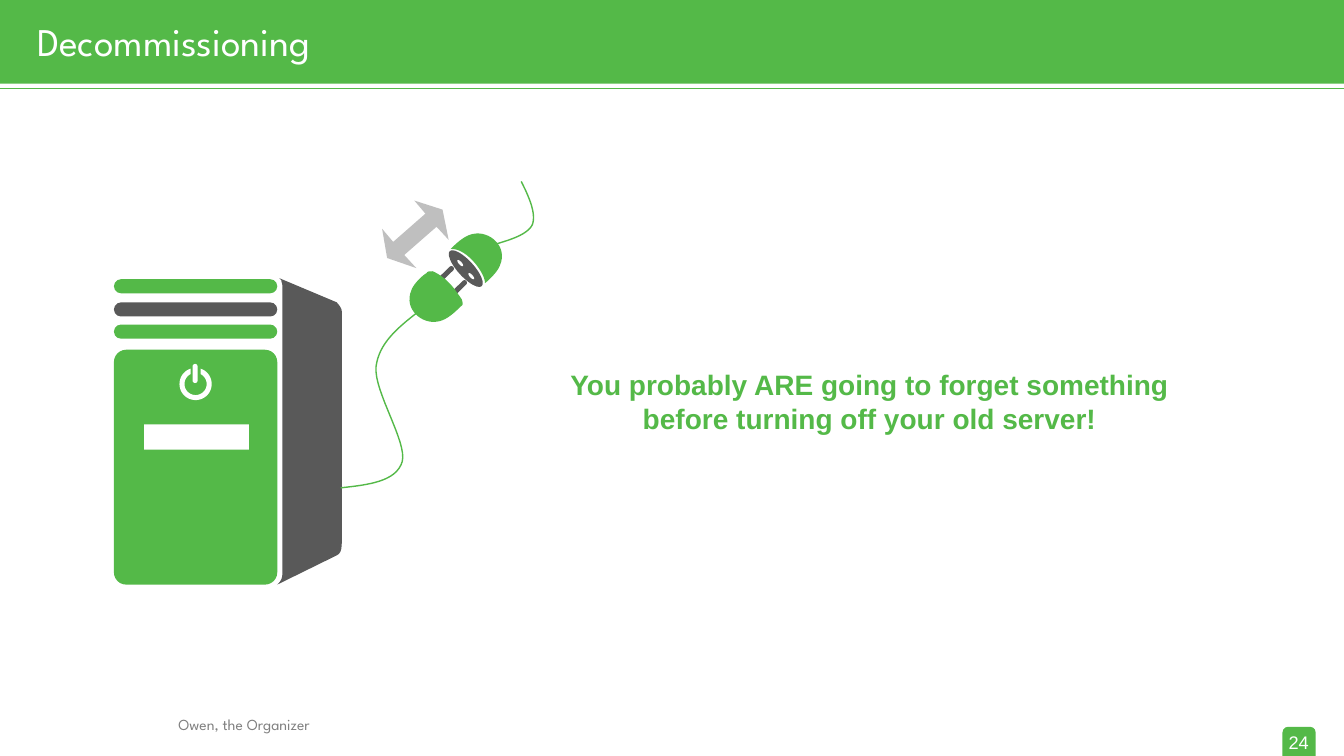
from dataclasses import dataclass, field
from math import asin, cos, pi, sin
from typing import Any, Optional

from lxml import etree
from pptx import Presentation
from pptx import util as u
from pptx.dml import color
from pptx.enum import shapes, text
from pptx.oxml import ns

GREEN, DARK, SILVER, GREY, WHITE = "54B948", "595959", "BFBFBF", "808080", "FFFFFF"
Kind = shapes.MSO_SHAPE
Point = tuple[float, float]


@dataclass
class Block:
    kind: Any
    left: float
    top: float
    width: float
    height: float
    fill: str
    adjustment: Optional[float] = None
    rotation: float = 0


@dataclass
class Outline:
    start: Point
    steps: list[tuple[float, ...]]
    fill: Optional[str] = None


@dataclass
class Label:
    wording: str
    left: float
    top: float
    width: float
    height: float
    font: dict[str, Any]
    hue: str
    frame: dict[str, Any] = field(default_factory=dict)
    paragraph: dict[str, Any] = field(default_factory=dict)


def rgb(value: str) -> color.RGBColor:
    return color.RGBColor.from_string(value)


def apply(target: Any, values: dict[str, Any]) -> None:
    for name, value in values.items():
        setattr(target, name, value)


def paint(shape: Any, fill: Optional[str]) -> None:
    shape.shadow.inherit = False
    if fill:
        shape.fill.solid()
        shape.fill.fore_color.rgb = rgb(fill)
        shape.line.fill.background()
    else:
        shape.fill.background()
        shape.line.color.rgb = rgb(GREEN)
        shape.line.width = u.Pt(1)


def draw_block(canvas: Any, block: Block) -> None:
    sizes = (block.left, block.top, block.width, block.height)
    shape = canvas.add_shape(block.kind, *map(u.Inches, sizes))
    if block.adjustment is not None:
        shape.adjustments[0] = block.adjustment
    shape.rotation = block.rotation
    paint(shape, block.fill)


def curve(controls: list[Point], count: int = 16) -> list[Point]:
    points = []
    for index in range(1, count + 1):
        t = index / count
        weights = ((1 - t) ** 3, 3 * t * (1 - t) ** 2, 3 * t * t * (1 - t), t ** 3)
        x, y = (sum(w * p[axis] for w, p in zip(weights, controls)) for axis in (0, 1))
        points.append((x, y))
    return points


def draw_outline(canvas: Any, outline: Outline) -> None:
    points = [outline.start]
    for step in outline.steps:
        pairs = list(zip(step[::2], step[1::2]))
        points += curve([points[-1], *pairs]) if len(pairs) == 3 else pairs
    emu = [(u.Inches(x), u.Inches(y)) for x, y in points]
    builder = canvas.build_freeform(*emu[0], scale=1.0)
    builder.add_line_segments(emu[1:], close=outline.fill is not None)
    paint(builder.convert_to_shape(), outline.fill)


def draw_label(canvas: Any, label: Label) -> None:
    sizes = (label.left, label.top, label.width, label.height)
    frame = canvas.add_textbox(*map(u.Inches, sizes)).text_frame
    apply(frame, {"word_wrap": True, **label.frame})
    paragraph = frame.paragraphs[0]
    apply(paragraph, label.paragraph)
    run = paragraph.add_run()
    run.text = label.wording
    apply(run.font, label.font)
    run.font.color.rgb = rgb(label.hue)


def draw_rule(canvas: Any, y: float) -> None:
    ends = map(u.Inches, (0, y, 13.33, y))
    rule = canvas.add_connector(shapes.MSO_CONNECTOR.STRAIGHT, *ends)
    rule.line.color.rgb = rgb(GREEN)
    rule.line.width = u.Pt(0.5)
    etree.SubElement(rule._element.spPr, ns.qn("a:effectLst"))


def power_ring(x: float, y: float, outer: float, inner: float, gap: float) -> Outline:
    points = []
    for radius, direction in ((outer, 1), (inner, -1)):
        opening = asin(gap / radius)
        for index in range(41):
            angle = direction * (opening - pi + (2 * pi - 2 * opening) * index / 40 + pi)
            points.append((x + radius * sin(angle), y - radius * cos(angle)))
    return Outline(points[0], points[1:], WHITE)


PLUG = [
    *(Block(Kind.ROUNDED_RECTANGLE, x, y, 0.05, 0.25, DARK, 0.46, 45.7)
      for x, y in ((4.38, 2.61), (4.51, 2.75))),
    Outline((4.29, 2.69), [
        (4.45, 2.76, 4.53, 2.9, 4.58, 2.97), (4.6, 3.03, 4.58, 3.03, 4.57, 3.04),
        (4.48, 3.13, 4.41, 3.18, 4.34, 3.19), (4.19, 3.22, 4, 3.07, 4.08, 2.88),
        (4.1, 2.82, 4.18, 2.74, 4.23, 2.71), (4.25, 2.68, 4.27, 2.7, 4.29, 2.69)], GREEN),
    Block(Kind.OVAL, 4.54, 2.43, 0.16, 0.47, DARK, rotation=317.7),
    *(Block(Kind.OVAL, x, y, 0.03, 0.08, WHITE, rotation=317.7)
      for x, y in ((4.55, 2.57), (4.66, 2.7))),
    Outline((4.81, 2.81), [
        (4.82, 2.73, 4.64, 2.46, 4.47, 2.47), (4.56, 2.38, 4.63, 2.33, 4.7, 2.32),
        (4.85, 2.29, 5.04, 2.44, 4.96, 2.63), (4.94, 2.69, 4.86, 2.77, 4.81, 2.81)], GREEN),
]
SERVER = [
    *(Block(Kind.ROUNDED_RECTANGLE, 1.13, y, 1.62, 0.14, fill, 0.5)
      for y, fill in ((2.77, GREEN), (3, DARK), (3.22, GREEN))),
    Block(Kind.ROUNDED_RECTANGLE, 1.13, 3.47, 1.62, 2.33, GREEN, 0.075),
    Outline((2.77, 2.76), [
        (3.34, 3), (3.4, 3.07, 3.39, 3.08, 3.39, 3.14), (3.39, 5.37),
        (3.39, 5.45, 3.38, 5.49, 3.34, 5.51), (2.75, 5.8), (2.76, 5.79),
        (2.78, 5.77, 2.8, 5.74, 2.8, 5.7), (2.8, 2.83),
        (2.8, 2.81, 2.79, 2.8, 2.79, 2.78)], DARK),
    Block(Kind.ROUNDED_RECTANGLE, 1.91, 3.61, 0.05, 0.19, WHITE, 0.5),
    power_ring(1.94, 3.81, 0.16, 0.11, 0.05),
    Block(Kind.RECTANGLE, 1.43, 4.21, 1.04, 0.25, WHITE),
]
CORDS = [
    Outline((3.38, 4.84), [
        (3.65, 4.81, 3.93, 4.78, 3.99, 4.58), (4.04, 4.38, 3.71, 3.89, 3.73, 3.64),
        (3.76, 3.4, 3.95, 3.25, 4.14, 3.1)]),
    Outline((4.89, 2.43), [
        (5.06, 2.38, 5.23, 2.33, 5.28, 2.23), (5.32, 2.12, 5.25, 1.96, 5.17, 1.8)]),
]
DOUBLE_ARROW = Outline((4.39, 2.08), [
    (4.11, 1.99), (4.22, 2.12), (3.9, 2.4), (3.79, 2.27), (3.84, 2.56),
    (4.13, 2.66), (4.01, 2.53), (4.33, 2.25), (4.45, 2.38)], SILVER)
BANNER = Block(Kind.RECTANGLE, 0, 0, 13.33, 0.83, GREEN)
PAGE_TAB = Block(Kind.ROUND_2_SAME_RECTANGLE, 12.72, 7.21, 0.33, 0.29, GREEN, 0.2)
MIDDLE = {"vertical_anchor": text.MSO_ANCHOR.MIDDLE}
CENTER = {"alignment": text.PP_ALIGN.CENTER}
LABELS = [
    Label("Owen, the Organizer", 1.67, 7.04, 1.86, 0.29,
          {"name": "League Spartan", "size": u.Pt(11)}, GREY, {"word_wrap": False}),
    Label("Decommissioning", 0.27, 0.16, 11.5, 0.54,
          {"name": "League Spartan", "size": u.Pt(28)}, WHITE, MIDDLE, {"line_spacing": 0.9}),
    Label("24", 12.64, 7.16, 0.48, 0.4,
          {"name": "Arial", "size": u.Pt(13)}, WHITE, MIDDLE, CENTER),
    Label("You probably ARE going to forget something before turning off your old server!",
          5.29, 3.6, 6.67, 0.77,
          {"name": "Arial", "size": u.Pt(20), "bold": True}, GREEN, paragraph=CENTER),
]


def main() -> None:
    presentation = Presentation()
    apply(presentation, {"slide_width": u.Inches(13.33), "slide_height": u.Inches(7.5)})
    slide = presentation.slides.add_slide(presentation.slide_layouts[6])
    draw_block(slide.shapes, BANNER)
    draw_rule(slide.shapes, 0.88)
    draw_block(slide.shapes, PAGE_TAB)
    illustration = slide.shapes.add_group_shape().shapes
    for part in PLUG + SERVER + CORDS:
        draw = draw_block if isinstance(part, Block) else draw_outline
        draw(illustration, part)
    draw_outline(slide.shapes, DOUBLE_ARROW)
    for label in LABELS:
        draw_label(slide.shapes, label)
    presentation.save("out.pptx")


if __name__ == "__main__":
    main()
